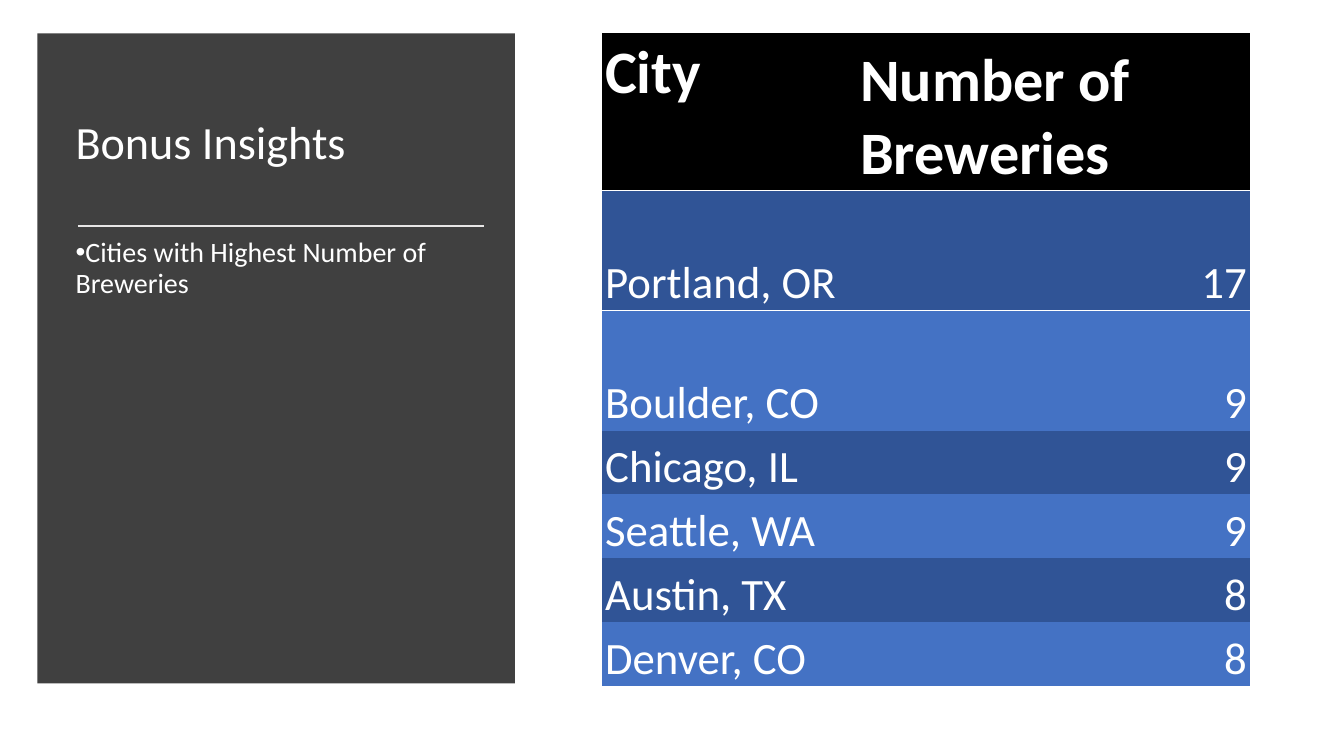
from lxml.etree import SubElement
from pptx import Presentation
from pptx.dml.color import RGBColor
from pptx.enum.shapes import MSO_CONNECTOR, MSO_SHAPE
from pptx.enum.text import MSO_ANCHOR, MSO_AUTO_SIZE, PP_ALIGN
from pptx.oxml import parse_xml
from pptx.oxml.ns import nsdecls, qn
from pptx.util import Cm, Pt


def color(code):
    return RGBColor.from_string(code)


def style(para, size, bold=False, align=PP_ALIGN.LEFT):
    para.alignment = align
    para.font.name = "Calibri"
    para.font.size = Pt(size)
    para.font.bold = bold
    para.font.color.rgb = color("FFFFFF")


deck = Presentation()
deck.slide_width, deck.slide_height = Cm(33.87), Cm(19.05)
slide = deck.slides.add_slide(deck.slide_layouts[1])
shapes = slide.shapes

panel = shapes.add_shape(MSO_SHAPE.RECTANGLE, Cm(0.94), Cm(0.84), Cm(12.04), Cm(16.38))
panel.shadow.inherit = False
panel.fill.solid()
panel.fill.fore_color.rgb = color("404040")
panel.line.color.rgb = color("404040")
panel.line.width = Pt(10)
panel.line.fill.background()
shapes._spTree.insert(2, panel._element)

title, body = shapes.title, slide.placeholders[1]
texts = [
    (title, "Bonus Insights", 33, 1.78, 3.73, MSO_ANCHOR.MIDDLE, 0),
    (body, "Cities with Highest Number of Breweries", 20, 5.89, 10.49, MSO_ANCHOR.TOP, 6),
]
for holder, text, size, top, height, anchor, after in texts:
    holder.left, holder.top = Cm(1.65), Cm(top)
    holder.width, holder.height = Cm(10.62), Cm(height)
    frame = holder.text_frame
    frame.text = text
    frame.word_wrap = True
    frame.auto_size = MSO_AUTO_SIZE.NONE
    frame.vertical_anchor = anchor
    para = frame.paragraphs[0]
    style(para, size)
    para.line_spacing = 0.9
    para.space_before = Pt(0)
    para.space_after = Pt(after)

props = body.text_frame.paragraphs[0]._p.get_or_add_pPr()
props.set("marL", "0")
props.set("indent", "0")

rule = shapes.add_connector(MSO_CONNECTOR.STRAIGHT, Cm(1.96), Cm(5.7), Cm(12.2), Cm(5.7))
rule.line.color.rgb = color("E7E6E6")
rule.line.width = Pt(1.75)
SubElement(rule._element.spPr, qn("a:effectLst"))

rows = [
    ("City", "Number of Breweries", 3.97),
    ("Portland, OR", "17", 3.02),
    ("Boulder, CO", "9", 3.02),
    ("Chicago, IL", "9", 1.61),
    ("Seattle, WA", "9", 1.61),
    ("Austin, TX", "8", 1.61),
    ("Denver, CO", "8", 1.61),
]
table = shapes.add_table(len(rows), 2, Cm(15.17), Cm(0.84), Cm(16.33), Cm(16.38)).table
table.first_row = table.horz_banding = False
table._tbl.tblPr[0].text = "{2D5ABB26-0587-4C30-8999-92F81FD0307C}"
table.columns[0].width, table.columns[1].width = Cm(6.43), Cm(9.9)

for r, (city, count, height) in enumerate(rows):
    table.rows[r].height = Cm(height)
    head = r == 0
    fill = "000000" if head else ("4472C4", "305496")[r % 2]
    for c, text in enumerate((city, count)):
        cell = table.cell(r, c)
        cell.text = text
        cell.fill.solid()
        cell.fill.fore_color.rgb = color(fill)
        cell.margin_left = cell.margin_right = cell.margin_top = Cm(0.08)
        cell.margin_bottom = Cm(0)
        cell.vertical_anchor = MSO_ANCHOR.TOP if head and c == 0 else MSO_ANCHOR.BOTTOM
        align = PP_ALIGN.RIGHT if c and not head else PP_ALIGN.LEFT
        style(cell.text_frame.paragraphs[0], 43 if head else 32, head, align)
        if r < 2:
            side = "lnB" if head else "lnT"
            edge = parse_xml(
                f'<a:{side} {nsdecls("a")} w="12700"><a:solidFill>'
                f'<a:srgbClr val="FFFFFF"/></a:solidFill></a:{side}>'
            )
            cell._tc.tcPr.insert(0, edge)

deck.save("out.pptx")
